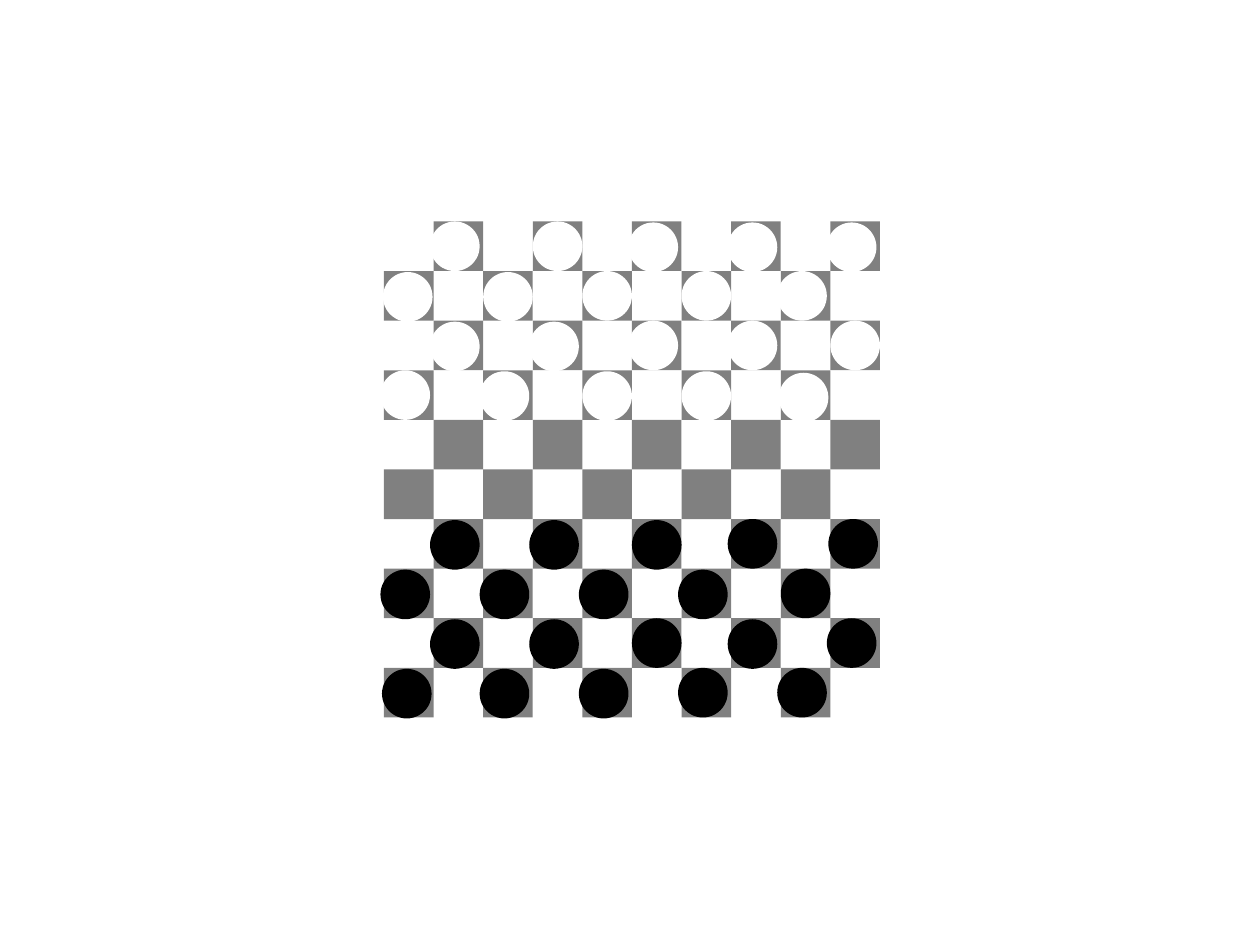
from pptx import Presentation
from pptx.dml.color import RGBColor
from pptx.enum.shapes import MSO_SHAPE
from pptx.util import Inches

GREY = RGBColor(0x80, 0x80, 0x80)
WHITE = RGBColor(0xFF, 0xFF, 0xFF)
BLACK = RGBColor(0x00, 0x00, 0x00)

# Pieces by board row: colour, then each piece's (x, y) shift from its dark square
PIECES = {
    0: (WHITE, [(-7, 0), (0, 0), (-7, 2), (-7, 2), (-7, 2)]),
    1: (WHITE, [(-2, 2), (0, 2), (0, 0), (0, 0), (-7, 0)]),
    2: (WHITE, [(-7, 2), (-7, 2), (-7, 0), (-7, 0), (0, 0)]),
    3: (WHITE, [(-7, 0), (-7, 2), (0, 2), (0, 2), (-4, 5)]),
    6: (BLACK, [(-7, 2), (-7, 2), (0, 2), (-7, 0), (-4, 0)]),
    7: (BLACK, [(-7, 2), (-7, 2), (-7, 2), (-7, 2), (0, 0)]),
    8: (BLACK, [(-7, 2), (-7, 2), (0, 0), (-7, 2), (-7, 0)]),
    9: (BLACK, [(-4, 2), (-7, 2), (-7, 2), (-7, 0), (-7, 0)]),
}

# Board geometry in px, 252 to the inch
PX = Inches(1) / 252
BOARD_LEFT, BOARD_TOP, BOARD_SIZE = 768, 443, 992
SQUARES = 10
CELL = BOARD_SIZE / SQUARES


def emu(px):
    return round(px * PX)


def add_part(group, kind, row, col, color, shift=(0, 0)):
    left = BOARD_LEFT + col * CELL + shift[0]
    top = BOARD_TOP + row * CELL + shift[1]
    part = group.shapes.add_shape(kind, emu(left), emu(top), emu(CELL), emu(CELL))
    part.shadow.inherit = False
    part.fill.solid()
    part.fill.fore_color.rgb = color
    part.line.fill.background()


def dark_columns(row):
    return range(1 - row % 2, SQUARES, 2)


deck = Presentation()
deck.slide_width, deck.slide_height = Inches(10), Inches(7.5)
page = deck.slides.add_slide(deck.slide_layouts[6])
board = page.shapes.add_group_shape()

# Dark squares
for row in range(SQUARES):
    for col in dark_columns(row):
        add_part(board, MSO_SHAPE.RECTANGLE, row, col, GREY)

# Pieces
for row, (color, shifts) in PIECES.items():
    for col, shift in zip(dark_columns(row), shifts):
        add_part(board, MSO_SHAPE.OVAL, row, col, color, shift)

deck.save("out.pptx")
